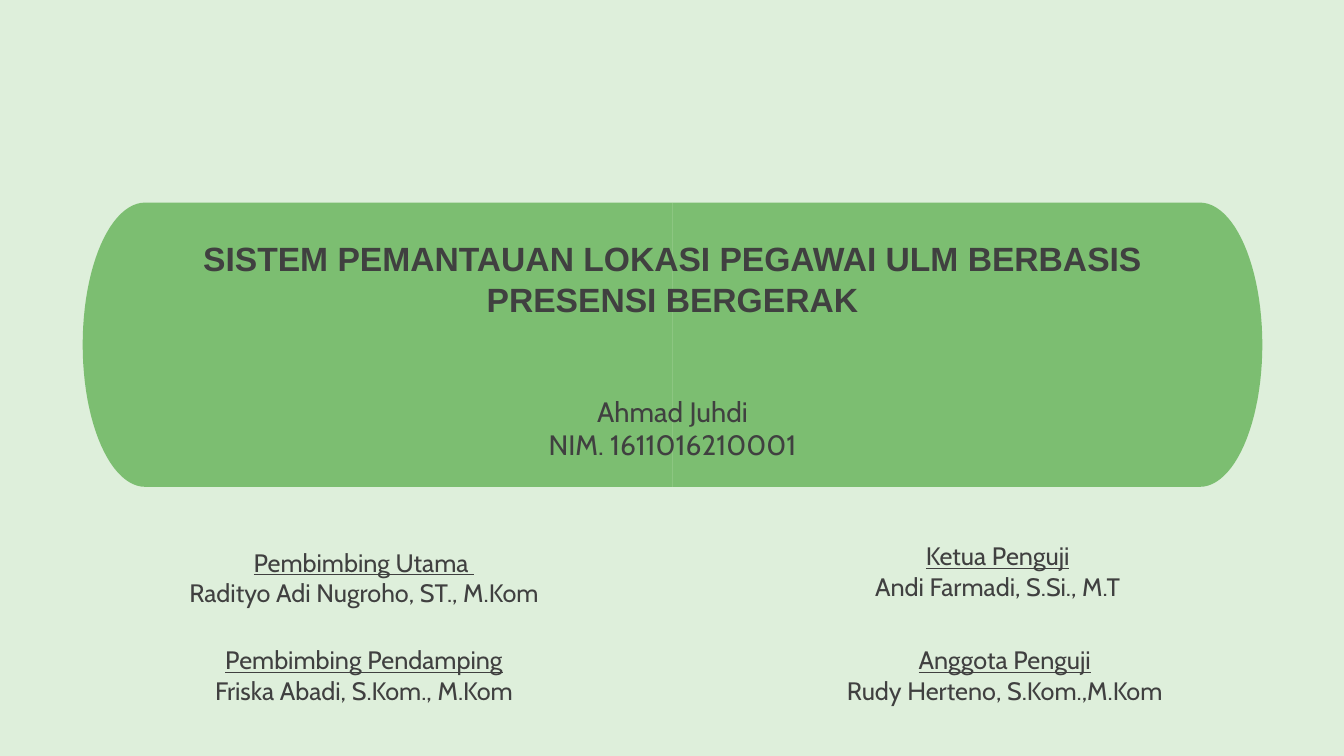
from math import cos, pi, sin
from lxml.etree import SubElement
from pptx import Presentation
from pptx.dml.color import RGBColor
from pptx.enum.text import MSO_ANCHOR, PP_ALIGN
from pptx.oxml.ns import qn
from pptx.util import Inches, Pt

INK = "404040"
GREEN = "5AAE4C"
PALE = "DEEFDB"


def paint(fill, color, alpha=100):
    """Fill with a hex colour at a percentage of opacity."""
    fill.solid()
    fill.fore_color.rgb = RGBColor.from_string(color)
    if alpha < 100:
        node = fill._xPr.find(qn("a:solidFill"))[0]
        SubElement(node, qn("a:alpha"), val=str(alpha * 1000))


def place(shape, left, top, width, height):
    """Move and size a shape in inches."""
    shape.left, shape.top = Inches(left), Inches(top)
    shape.width, shape.height = Inches(width), Inches(height)


def write(shape, lines, size, font="Cabin", bold=False, label=False):
    """Write centred lines, underlining the first one when it is a label."""
    frame = shape.text_frame
    frame.word_wrap = True
    frame.vertical_anchor = MSO_ANCHOR.MIDDLE
    for index, line in enumerate(lines):
        para = frame.add_paragraph() if index else frame.paragraphs[0]
        para.alignment = PP_ALIGN.CENTER
        para.space_before = Pt(0)
        run = para.add_run()
        run.text = line
        run.font.name = font
        run.font.size = Pt(size)
        run.font.bold = bold
        run.font.underline = label and index == 0
        paint(run.font.fill, INK)


def add_half(slide, side):
    """Draw half of the banner, to the left (-1) or right (1) of its middle."""
    mid, flat, bulge, center, radius, steps = 6.67, 5.23, 0.62, 3.42, 1.41, 48
    turns = [pi * step / steps for step in range(steps + 1)]
    curve = [(Inches(mid + side * (flat + bulge * sin(turn))),
              Inches(center - radius * cos(turn))) for turn in turns]
    top, base = Inches(center - radius), Inches(center + radius)
    path = slide.shapes.build_freeform(Inches(mid), top)
    path.add_line_segments(curve + [(Inches(mid), base)], close=True)
    half = path.convert_to_shape()
    half.shadow.inherit = False
    half.line.fill.background()
    paint(half.fill, GREEN, 74)


def add_role(slide, box, role, name):
    """Add an underlined role with a name below it."""
    shape = slide.shapes.add_textbox(0, 0, 0, 0)
    place(shape, *box)
    write(shape, [role, name], 18, label=True)


def main():
    """Build the title slide."""
    deck = Presentation()
    deck.slide_width, deck.slide_height = Inches(13.33), Inches(7.5)
    slide = deck.slides.add_slide(deck.slide_layouts[0])
    paint(slide.background.fill, PALE)
    title, author = slide.placeholders
    for side in (-1, 1):
        add_half(slide, side)
    for holder in (title, author):
        slide.shapes._spTree.append(holder._element)
    place(title, 1.88, 2.31, 9.58, 0.91)
    write(title, ["SISTEM PEMANTAUAN LOKASI PEGAWAI ULM BERBASIS PRESENSI BERGERAK"],
          24, "Arial", bold=True)
    place(author, 3.69, 3.86, 5.96, 0.77)
    write(author, ["Ahmad Juhdi", "NIM. 1611016210001"], 20)
    roles = [
        ((0.82, 5.44, 5.58, 0.57), "Pembimbing Utama ", "Radityo Adi Nugroho, ST., M.Kom"),
        ((7.34, 5.33, 5.11, 0.67), "Ketua Penguji", "Andi Farmadi, S.Si., M.T"),
        ((0.82, 6.38, 5.58, 0.63), "Pembimbing Pendamping", "Friska Abadi, S.Kom., M.Kom"),
        ((7.41, 6.38, 5.11, 0.63), "Anggota Penguji", "Rudy Herteno, S.Kom.,M.Kom"),
    ]
    for box, role, name in roles:
        add_role(slide, box, role, name)
    deck.save("out.pptx")


if __name__ == "__main__":
    main()
